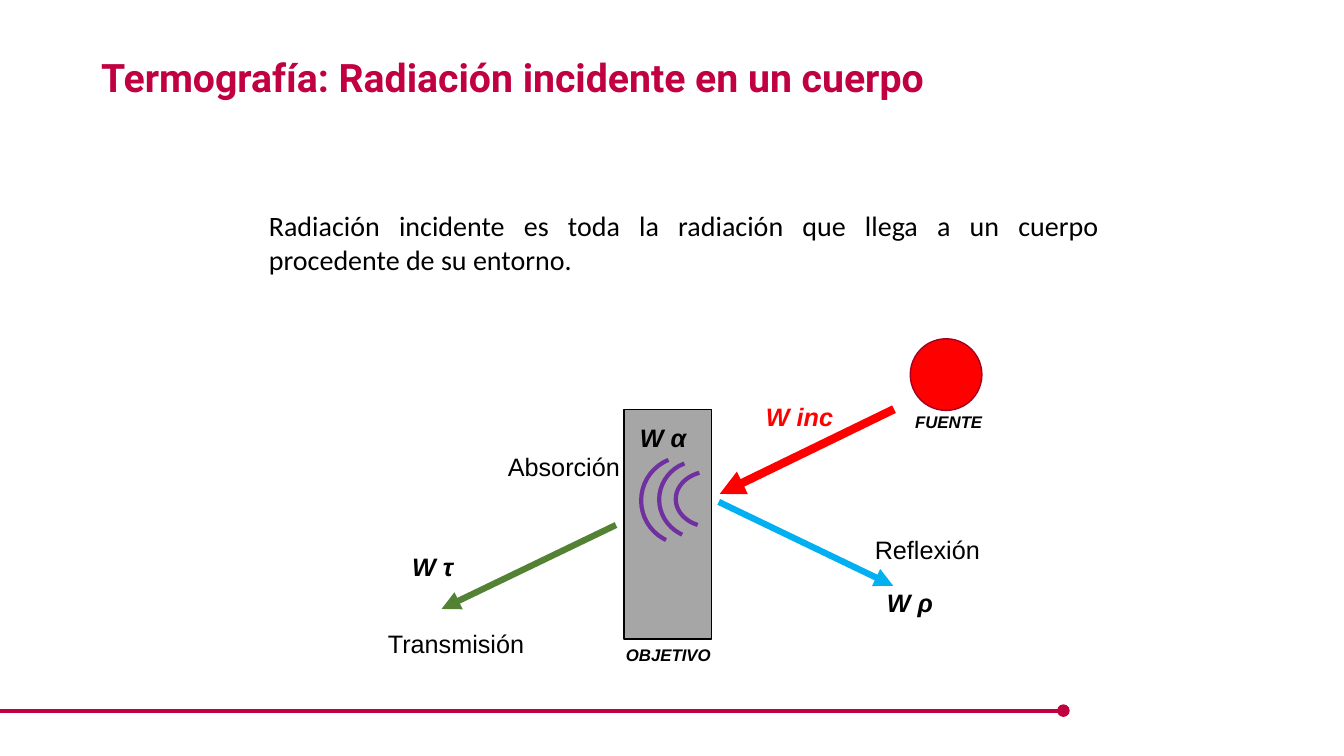
from pptx import Presentation
from pptx.dml.color import RGBColor
from pptx.enum.shapes import MSO_CONNECTOR, MSO_SHAPE
from pptx.enum.text import MSO_ANCHOR, MSO_AUTO_SIZE, PP_ALIGN
from pptx.oxml.ns import qn
from pptx.util import Pt
from lxml.etree import SubElement

COLORS = {
    "title": "C00040", "footer": "C20140", "black": "000000",
    "target": "A6A6A6", "source": "FF0000", "source_edge": "A50021",
    "transmitted": "548235", "reflected": "00B0F0", "absorbed": "7030A0",
}
ARC_DEGREES = (205.57, 337.92)
ARC_UNIT = 0.6  # adjustment units per degree


def rgb(name):
    return RGBColor.from_string(COLORS[name])


def write_text(shape, text, size=18, font="Arial", color="black",
               bold=False, italic=False, align=PP_ALIGN.LEFT):
    frame = shape.text_frame
    frame.word_wrap = True
    frame.auto_size = MSO_AUTO_SIZE.SHAPE_TO_FIT_TEXT
    frame.vertical_anchor = MSO_ANCHOR.TOP
    paragraph = frame.paragraphs[0]
    paragraph.alignment = align
    run = paragraph.add_run()
    run.text = text
    run.font.name, run.font.size = font, Pt(size)
    run.font.bold, run.font.italic = bold, italic
    run.font.color.rgb = rgb(color)


def add_label(slide, text, left, top, width, height=29, **text_format):
    box = slide.shapes.add_textbox(Pt(left), Pt(top), Pt(width), Pt(height))
    write_text(box, text, **text_format)


def add_title(slide, text):
    title = slide.shapes.title
    title.left, title.top, title.width, title.height = Pt(65), Pt(34.5), Pt(723), Pt(41)
    write_text(title, text, size=28, font="Roboto", color="title", bold=True)


def add_outlined(slide, kind, left, top, width, height, line, weight=1, fill=None):
    shape = slide.shapes.add_shape(kind, Pt(left), Pt(top), Pt(width), Pt(height))
    shape.shadow.inherit = False
    if fill:
        shape.fill.solid()
        shape.fill.fore_color.rgb = rgb(fill)
    else:
        shape.fill.background()
    shape.line.color.rgb = rgb(line)
    shape.line.width = Pt(weight)
    return shape


def add_wave(slide, left, top, width, height):
    arc = add_outlined(slide, MSO_SHAPE.ARC, left, top, width, height, "absorbed", 3)
    arc.rotation = 270
    for index, degrees in enumerate(ARC_DEGREES):
        arc.adjustments[index] = degrees * ARC_UNIT


def add_line(slide, start, end, color, weight, end_tag="a:tailEnd", end_type="triangle"):
    points = [Pt(value) for value in (*start, *end)]
    line = slide.shapes.add_connector(MSO_CONNECTOR.STRAIGHT, *points)
    line.line.color.rgb = rgb(color)
    line.line.width = Pt(weight)
    SubElement(line.line._get_or_add_ln(), qn(end_tag), type=end_type)
    SubElement(line._element.spPr, qn("a:effectLst"))


def main():
    presentation = Presentation()
    presentation.slide_width, presentation.slide_height = Pt(960), Pt(540)
    slide = presentation.slides.add_slide(presentation.slide_layouts[5])

    # Footer rule, title and definition
    add_line(slide, (759.6, 507.6), (0, 507.6), "footer", 3, "a:headEnd", "oval")
    add_title(slide, "Termografía: Radiación incidente en un cuerpo")
    add_label(slide, "Radiación incidente es toda la radiación que llega a un cuerpo "
              "procedente de su entorno.", 185, 145.4, 607, 55.4,
              size=20, font="Calibri", align=PP_ALIGN.JUSTIFY)

    # Target and source
    add_outlined(slide, MSO_SHAPE.RECTANGLE, 445.7, 292.3, 62.6, 164.2,
                 "black", fill="target")
    add_outlined(slide, MSO_SHAPE.OVAL, 650.2, 242, 51.2, 51.2,
                 "source_edge", fill="source")
    for text, left, top in (("OBJETIVO", 440, 457.2), ("FUENTE", 646.6, 290.2)):
        add_label(slide, text, left, top, 96.5, 21.8, size=12, bold=True, italic=True)

    # Incident, transmitted and reflected rays
    add_line(slide, (638.6, 292.3), (514.1, 352.8), "source", 6)
    add_line(slide, (440, 375), (315.4, 435), "transmitted", 4.5)
    add_line(slide, (513.4, 358.5), (638, 418.4), "reflected", 4.5)

    # Absorbed waves
    for wave in ((487.4, 332, 39.6, 49), (471.6, 328.3, 55.4, 56.9),
                 (458, 326.2, 62.6, 62.6)):
        add_wave(slide, *wave)

    # Power symbols
    for text, left, top, color in (
            ("W inc", 540, 283, "source"), ("W ρ", 626.4, 416.2, "black"),
            ("W τ", 287.3, 390.2, "black"), ("W α", 450, 298, "black")):
        add_label(slide, text, left, top, 68, color=color, bold=True, italic=True)

    # Names of the effects
    for text, left, top, width in (
            ("Absorción", 355.7, 319, 95.8), ("Transmisión", 270, 445, 125.3),
            ("Reflexión", 617.8, 378, 125.3)):
        add_label(slide, text, left, top, width)

    presentation.save("out.pptx")


if __name__ == "__main__":
    main()
